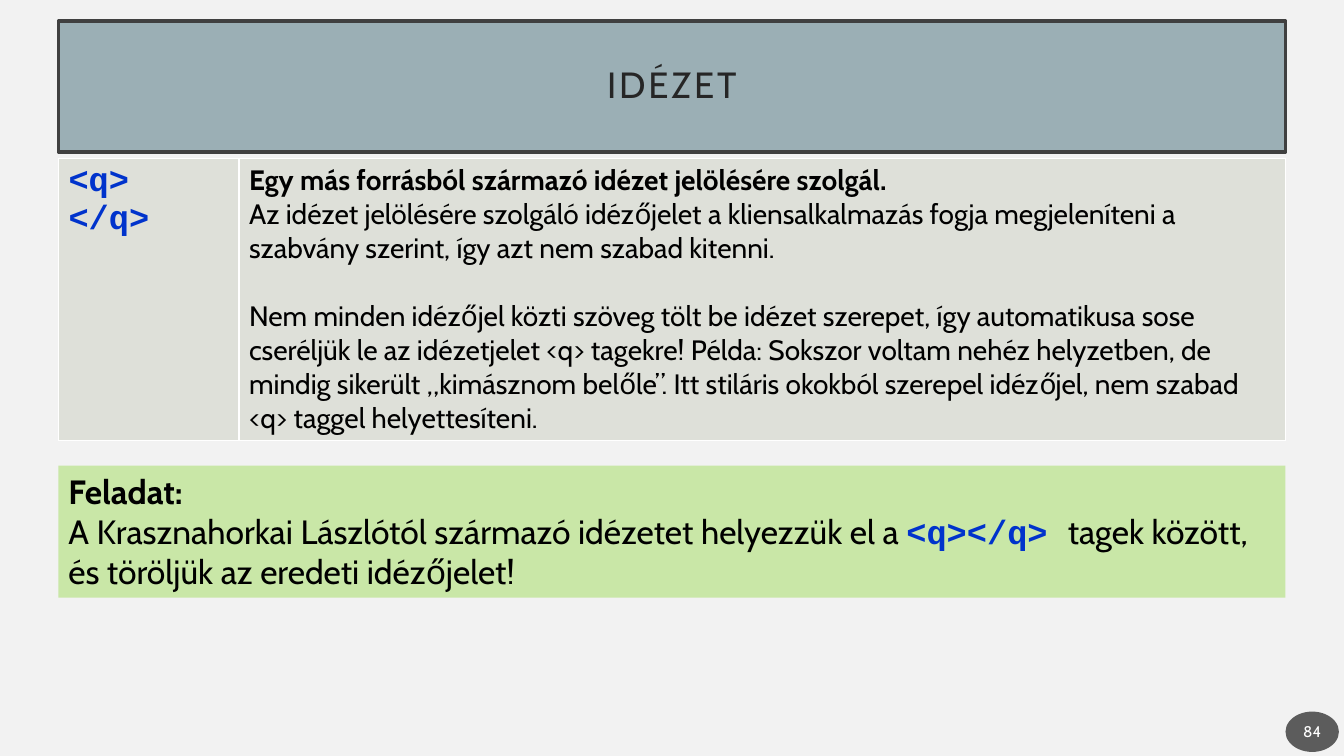
from lxml.etree import SubElement
from pptx import Presentation
from pptx.dml.color import RGBColor
from pptx.enum.shapes import MSO_SHAPE as SHAPE
from pptx.enum.text import MSO_ANCHOR as ANCHOR, PP_ALIGN as ALIGN
from pptx.oxml.ns import qn
from pptx.util import Inches, Pt

BACKGROUND = RGBColor(0xF2, 0xF2, 0xF2)
TITLE_FILL = RGBColor(0x9B, 0xAF, 0xB5)
TITLE_LINE = RGBColor(0x40, 0x40, 0x40)
TITLE_TEXT = RGBColor(0x26, 0x26, 0x26)
BADGE_FILL = RGBColor(0x1D, 0x1D, 0x1D)
CELL_FILL = RGBColor(0xDE, 0xE0, 0xD9)
TASK_FILL = RGBColor(0xC9, 0xE7, 0xA7)
TAG_BLUE = RGBColor(0x00, 0x33, 0xCC)
BLACK = RGBColor(0, 0, 0)
WHITE = RGBColor(0xFF, 0xFF, 0xFF)

LEFT, WIDTH = Inches(0.58), Inches(12.17)


def add_panel(kind, left, top, width, height, fill):
    panel = slide.shapes.add_shape(kind, left, top, width, height)
    panel.shadow.inherit = False
    panel.fill.solid()
    panel.fill.fore_color.rgb = fill
    panel.line.fill.background()
    return panel


def style(runs, size, color=BLACK, bold=False, name="Cabin"):
    for run in runs:
        run.font.name = name
        run.font.size = Pt(size)
        run.font.bold = bold
        run.font.color.rgb = color


prs = Presentation()
prs.slide_width, prs.slide_height = Inches(13.33), Inches(7.5)
slide = prs.slides.add_slide(prs.slide_layouts[6])
slide.background.fill.solid()
slide.background.fill.fore_color.rgb = BACKGROUND

title = add_panel(SHAPE.RECTANGLE, LEFT, Inches(0.21), WIDTH, Inches(1.3), TITLE_FILL)
title.line.color.rgb = TITLE_LINE
title.line.width = Pt(2.5)
title.text_frame.text = "IDÉZET"
title.text_frame.vertical_anchor = ANCHOR.MIDDLE
heading = title.text_frame.paragraphs[0]
heading.alignment = ALIGN.CENTER
heading.line_spacing = 0.9
style(heading.runs, 26, TITLE_TEXT)
heading.runs[0].font._element.set("spc", "200")

badge = add_panel(SHAPE.OVAL, Inches(12.75), Inches(7.06), Inches(0.53), Inches(0.4), BADGE_FILL)
badge_color = badge.fill._xPr.find(qn("a:solidFill"))[0]
SubElement(badge_color, qn("a:alpha")).set("val", "70000")
badge.text_frame.text = "84"
badge.text_frame.vertical_anchor = ANCHOR.MIDDLE
badge.text_frame.margin_left = badge.text_frame.margin_right = Inches(0.02)
badge.text_frame.paragraphs[0].alignment = ALIGN.CENTER
style(badge.text_frame.paragraphs[0].runs, 11, WHITE)

tag_table = slide.shapes.add_table(1, 2, LEFT, Inches(1.57), WIDTH, Inches(2.77)).table
tag_table.first_row = tag_table.horz_banding = False
tag_table.columns[0].width = Inches(1.79)
tag_table.columns[1].width = Inches(10.38)
for cell in tag_table.iter_cells():
    cell_props = cell._tc.get_or_add_tcPr()
    for side in ("lnL", "lnR", "lnT", "lnB"):
        border = SubElement(cell_props, qn(f"a:{side}"), w=str(Pt(1)))
        border_fill = SubElement(border, qn("a:solidFill"))
        SubElement(border_fill, qn("a:srgbClr"), val=str(WHITE))
    cell.fill.solid()
    cell.fill.fore_color.rgb = CELL_FILL

tag, description = tag_table.iter_cells()
tag.text_frame.paragraphs[0].text = "<q>\v</q>"
style(tag.text_frame.paragraphs[0].runs, 24, TAG_BLUE, True, "Courier New")

description.text_frame.text = "\n".join([
    "Egy más forrásból származó idézet jelölésére szolgál.",
    "Az idézet jelölésére szolgáló idézőjelet a kliensalkalmazás fogja megjeleníteni a "
    "szabvány szerint, így azt nem szabad kitenni.",
    "Nem minden idézőjel közti szöveg tölt be idézet szerepet, így automatikusa sose "
    "cseréljük le az idézetjelet <q> tagekre! Példa: Sokszor voltam nehéz helyzetben, de "
    "mindig sikerült „kimásznom belőle”. Itt stiláris okokból szerepel idézőjel, nem szabad "
    "<q> taggel helyettesíteni.",
])
summary, rule, exception = description.text_frame.paragraphs
style(summary.runs, 20, bold=True)
style(rule.runs + exception.runs, 20)
exception.space_before = Pt(24)

task = add_panel(SHAPE.RECTANGLE, LEFT, Inches(4.62), WIDTH, Inches(1.31), TASK_FILL)
task.text_frame.text = "Feladat:\nA Krasznahorkai Lászlótól származó idézetet helyezzük el a "
task.text_frame.vertical_anchor = ANCHOR.TOP
label, instruction = task.text_frame.paragraphs
for part in ("<q></q> ", "tagek között, és töröljük az eredeti idézőjelet!"):
    instruction.add_run().text = part
label.alignment = instruction.alignment = ALIGN.LEFT
style(label.runs, 24, bold=True)
style(instruction.runs, 24)
style(instruction.runs[1:2], 24, TAG_BLUE, True, "Courier New")

for frame in (title.text_frame,):
    frame.margin_left = frame.margin_right = Inches(0.2)
    frame.margin_top = frame.margin_bottom = Inches(0.2)

prs.save("out.pptx")
